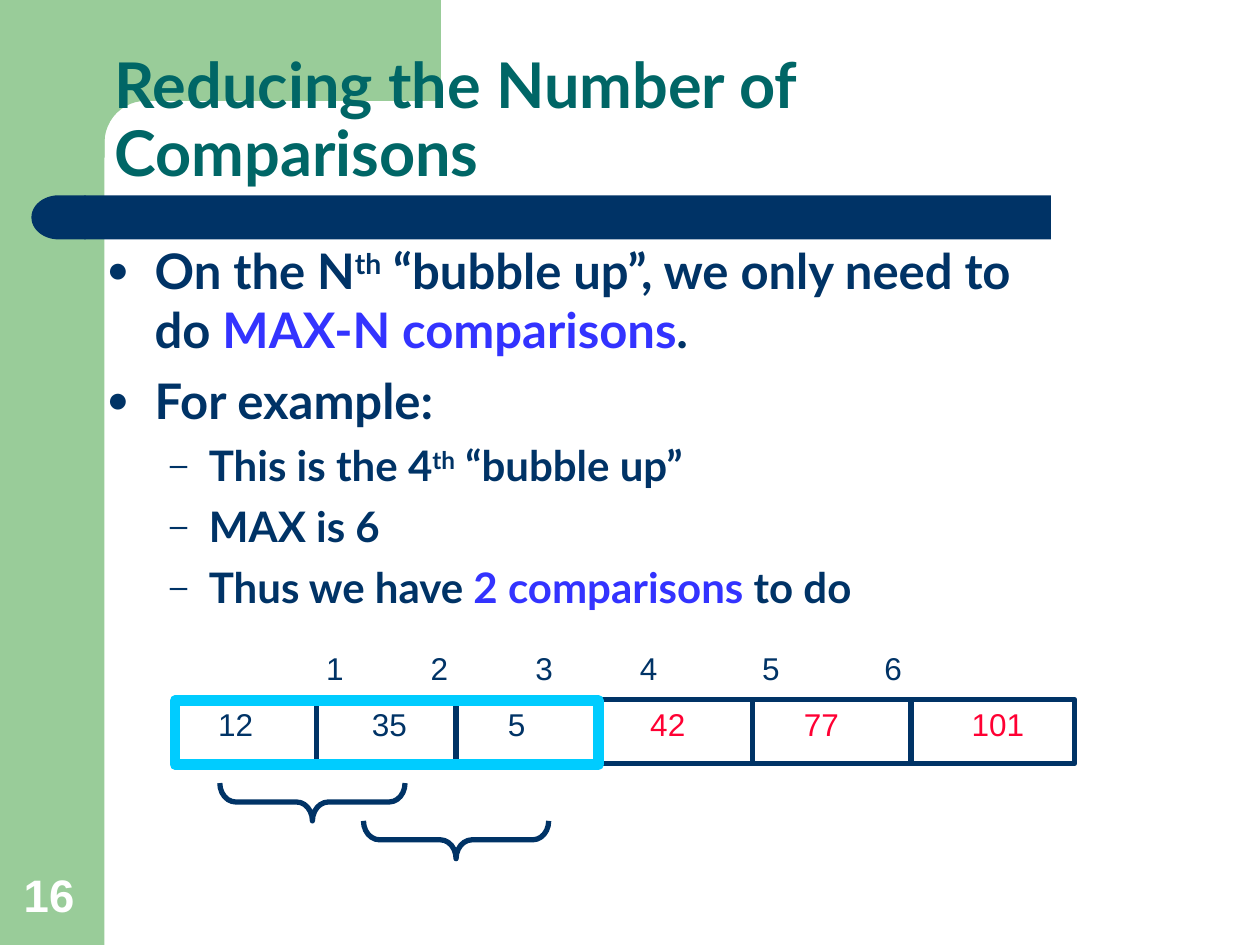
from math import cos, pi, sin

from lxml.etree import SubElement
from pptx import Presentation
from pptx.dml.color import RGBColor
from pptx.enum.shapes import MSO_CONNECTOR, MSO_SHAPE
from pptx.enum.text import MSO_ANCHOR, PP_ALIGN
from pptx.oxml.ns import qn
from pptx.util import Inches, Pt

GREEN = RGBColor(0x99, 0xCC, 0x99)
NAVY = RGBColor(0x00, 0x33, 0x66)
TEAL = RGBColor(0x00, 0x66, 0x66)
BLUE = RGBColor(0x33, 0x33, 0xFF)
RED = RGBColor(0xFF, 0x00, 0x33)
CYAN = RGBColor(0x00, 0xCC, 0xFF)
WHITE = RGBColor(0xFF, 0xFF, 0xFF)

deck = Presentation()
deck.slide_width, deck.slide_height = Inches(10), Inches(7.5)
page = deck.slides.add_slide(deck.slide_layouts[6])
UNIT = deck.slide_width / 10  # the grid has 10 columns and 7.5 rows


def grid(*cells):
    return [round(cell * UNIT) for cell in cells]


def style(shape, fill=None, line=None, weight=0):
    """Give a shape a flat fill, an outline, or both."""
    shape.shadow.inherit = False
    if fill is None:
        shape.fill.background()
    else:
        shape.fill.solid()
        shape.fill.fore_color.rgb = fill
    if line is None:
        shape.line.fill.background()
    else:
        shape.line.color.rgb = line
        shape.line.width = Pt(weight)


# Green side band and the corner with its rounded inner edge
band = page.shapes.add_shape(MSO_SHAPE.RECTANGLE, *grid(0, -0.03, 0.83, 7.53))
style(band, fill=GREEN)
RADIUS = 0.33
arc = [(1.16 - RADIUS * sin(step * pi / 24), 1.13 - RADIUS * cos(step * pi / 24))
       for step in range(13)]
outline = [(3.5, 0.8), *arc, (0.83, 1.25), (0.5, 1.25), (0.5, -0.03)]
builder = page.shapes.build_freeform(*grid(3.5, -0.03))
builder.add_line_segments([grid(*point) for point in outline], close=True)
style(builder.convert_to_shape(), fill=GREEN)

# Navy rule with a round left end
rule = page.shapes.add_shape(MSO_SHAPE.RECTANGLE, *grid(0.67, 1.55, 7.67, 0.35))
style(rule, fill=NAVY)
cap = page.shapes.add_shape(MSO_SHAPE.FLOWCHART_DELAY, *grid(0.25, 1.55, 0.43, 0.35))
style(cap, fill=NAVY)
cap._element.spPr.find(qn("a:xfrm")).set("flipH", "1")

# Title and page number
for words, place, size, font, color in [
    ("Reducing the Number of Comparisons", (0.81, 0.73, 8.38, 0.83), 36, "Lato", TEAL),
    ("16", (0.09, 6.83, 0.64, 0.53), 26, "Arial", WHITE),
]:
    box = page.shapes.add_textbox(*grid(*place))
    box.text_frame.word_wrap = True
    box.text_frame.vertical_anchor = MSO_ANCHOR.BOTTOM
    box.text_frame.text = words
    para = box.text_frame.paragraphs[0]
    if font == "Lato":
        para.line_spacing = 0.9
    para.font.name, para.font.size, para.font.bold = font, Pt(size), True
    para.font.color.rgb = color

# Bullets: each is a level and its spans, marked plain, raised or accent
bullets = [
    (0, [("On the N", "plain"), ("th", "raised"),
         (" “bubble up”, we only need to \vdo ", "plain"),
         ("MAX-N comparisons", "accent"), (".", "plain")]),
    (0, [("For example:", "plain")]),
    (1, [("This is the 4", "plain"), ("th", "raised"), (" “bubble up”", "plain")]),
    (1, [("MAX is 6", "plain")]),
    (1, [("Thus we have ", "plain"), ("2 comparisons", "accent"), (" to do", "plain")]),
]
levels = [(0.38, 0.38, "●", 28, 7), (0.81, 0.31, "–", 24, 6)]
body = page.shapes.add_textbox(*grid(0.75, 1.86, 8.5, 5.05)).text_frame
body.word_wrap = True
for index, (level, spans) in enumerate(bullets):
    margin, hanging, mark, size, space = levels[level]
    para = body.paragraphs[0] if index == 0 else body.add_paragraph()
    para.level = level
    para.space_before = Pt(space if index else 0)
    props = para._p.get_or_add_pPr()
    props.set("marL", str(Inches(margin)))
    props.set("indent", str(-Inches(hanging)))
    mark_color = SubElement(props, qn("a:buClr"))
    SubElement(mark_color, qn("a:srgbClr")).set("val", str(NAVY))
    SubElement(props, qn("a:buSzPct")).set("val", "75000")
    SubElement(props, qn("a:buFont")).set("typeface", "Arial")
    SubElement(props, qn("a:buChar")).set("char", mark)
    for words, kind in spans:
        for part, line in enumerate(words.split("\v")):
            if part:
                para.add_line_break()
            span = para.add_run()
            span.text = line
            span.font.name, span.font.size, span.font.bold = "Lato", Pt(size), True
            span.font.color.rgb = BLUE if kind == "accent" else NAVY
            if kind == "raised":
                span._r.get_or_add_rPr().set("baseline", "30000")

# Array frame and cell dividers
TOP, HEIGHT = 5.55, 0.51
frame = page.shapes.add_shape(MSO_SHAPE.RECTANGLE, *grid(1.4, TOP, 7.13, HEIGHT))
style(frame, line=NAVY, weight=3)
for column in (2.51, 3.62, 4.76, 5.97, 7.23):
    divider = page.shapes.add_connector(
        MSO_CONNECTOR.STRAIGHT, *grid(column, TOP, column, TOP + HEIGHT))
    divider.line.color.rgb = NAVY
    divider.line.width = Pt(3)
    SubElement(divider._element.spPr, qn("a:effectLst"))

# Cell values, centred on their columns; sorted ones are red
for value, center, color in [
    ("12", 1.87, NAVY), ("35", 3.09, NAVY), ("5", 4.1, NAVY),
    ("42", 5.3, RED), ("77", 6.52, RED), ("101", 7.92, RED),
]:
    box = page.shapes.add_textbox(*grid(center - 0.35, TOP, 0.7, 0.4))
    box.text_frame.text = value
    para = box.text_frame.paragraphs[0]
    para.alignment = PP_ALIGN.CENTER
    para.font.name, para.font.size = "Arial", Pt(18)
    para.font.color.rgb = color

# Cell numbers on tab stops
numbers = page.shapes.add_textbox(*grid(2.49, 5.1, 4.95, 0.4)).text_frame
numbers.word_wrap = True
numbers.text = "1\t2\t3\t4\t5\t6"
para = numbers.paragraphs[0]
stops = SubElement(para._p.get_or_add_pPr(), qn("a:tabLst"))
for position in (0.83, 1.66, 2.49, 3.46, 4.43):
    stop = SubElement(stops, qn("a:tab"))
    stop.set("pos", str(Inches(position)))
    stop.set("algn", "l")
para.font.name, para.font.size = "Arial", Pt(18)
para.font.color.rgb = NAVY

# Unsorted part and the two comparisons within it
unsorted = page.shapes.add_shape(MSO_SHAPE.RECTANGLE, *grid(1.39, 5.56, 3.36, HEIGHT))
style(unsorted, line=CYAN, weight=6)
for left, top in [(2.33, 5.63), (3.47, 5.93)]:
    brace = page.shapes.add_shape(MSO_SHAPE.LEFT_BRACE, *grid(left, top, 0.3, 1.47))
    brace.rotation = 270
    brace.adjustments[0] = 0.42
    style(brace, line=NAVY, weight=3)

deck.save("out.pptx")
